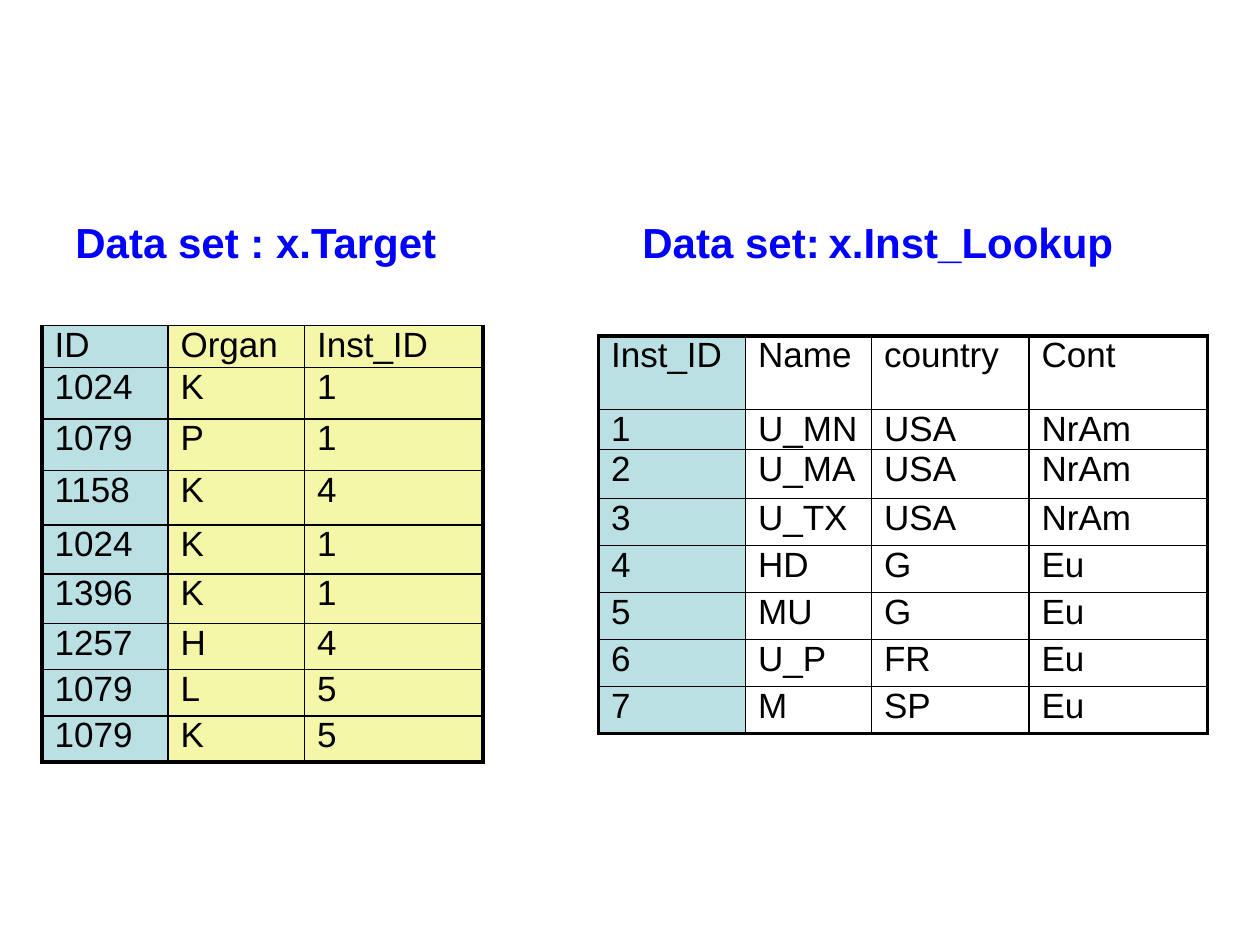
from dataclasses import dataclass

from lxml import etree
from pptx import Presentation
from pptx.dml.color import RGBColor
from pptx.enum.text import MSO_ANCHOR, PP_ALIGN
from pptx.oxml.ns import qn
from pptx.util import Inches, Pt

LEFT, TOP = PP_ALIGN.LEFT, MSO_ANCHOR.TOP
UNIT = Inches(10) / 120
CELL_INSET = 1.2


@dataclass(frozen=True)
class Theme:
    """Colours, type sizes and line widths of the slide."""
    font: str = "Arial"
    ink: str = "000000"
    title: str = "0000FF"
    key: str = "BBE0E3"
    data: str = "F4F6A8"
    title_size: int = 24
    gap_size: int = 18
    cell_size: int = 20
    thin: float = 1
    thick: float = 2.25


THEME = Theme()

TARGET_ROWS = [
    ("ID", "Organ", "Inst_ID"),
    ("1024", "K", "1"),
    ("1079", "P", "1"),
    ("1158", "K", "4"),
    ("1024", "K", "1"),
    ("1396", "K", "1"),
    ("1257", "H", "4"),
    ("1079", "L", "5"),
    ("1079", "K", "5"),
]
LOOKUP_ROWS = [
    ("Inst_ID", "Name", "country", "Cont"),
    ("1", "U_MN", "USA", "NrAm"),
    ("2", "U_MA", "USA", "NrAm"),
    ("3", "U_TX", "USA", "NrAm"),
    ("4", "HD", "G", "Eu"),
    ("5", "MU", "G", "Eu"),
    ("6", "U_P", "FR", "Eu"),
    ("7", "M", "SP", "Eu"),
]


def grid(n):
    """Turn grid units, 120 across and 90 down the slide, into a length."""
    return round(n * UNIT)


def set_all(obj, values):
    """Set every attribute named in a dict of format values."""
    for name, value in values.items():
        setattr(obj, name, value)


def add_run(p, text, size, color, bold=False):
    """Append a formatted run to a paragraph."""
    r = p.add_run()
    r.text = text
    set_all(r.font, {"name": THEME.font, "size": Pt(size), "bold": bold})
    r.font.color.rgb = RGBColor.from_string(color)


def add_borders(cell, widths):
    """Draw the cell borders from a dict of side and width in points."""
    tc_pr = cell._tc.get_or_add_tcPr()
    for side, width in widths.items():
        ln = etree.SubElement(tc_pr, qn(f"a:ln{side}"), w=str(Pt(width)))
        fill = etree.SubElement(ln, qn("a:solidFill"))
        etree.SubElement(fill, qn("a:srgbClr"), val=THEME.ink)


def fill_cell(cell, text, color, widths):
    """Write, border and colour one cell."""
    set_all(cell, {
        "margin_left": grid(CELL_INSET), "margin_right": grid(CELL_INSET),
        "margin_top": 0, "margin_bottom": 0, "vertical_anchor": TOP,
    })
    p = cell.text_frame.paragraphs[0]
    p.alignment = LEFT
    add_run(p, text, THEME.cell_size, THEME.ink)
    add_borders(cell, widths)
    if color:
        cell.fill.solid()
        cell.fill.fore_color.rgb = RGBColor.from_string(color)
    else:
        cell.fill.background()


def add_data_set(s, x, y, cols, rows, values, data_fill=None, thick_top=False):
    """Place a data set table with a tinted key column and a thick frame."""
    box = [grid(n) for n in (x, y, sum(cols), sum(rows))]
    table = s.shapes.add_table(len(rows), len(cols), *box).table
    set_all(table, {"first_row": False, "horz_banding": False})
    for column, width in zip(table.columns, cols):
        column.width = grid(width)
    for row, height in zip(table.rows, rows):
        row.height = grid(height)
    for i, record in enumerate(values):
        for j, text in enumerate(record):
            outer = {
                "L": j == 0, "R": j == len(cols) - 1,
                "T": thick_top and i == 0, "B": i == len(rows) - 1,
            }
            widths = {side: THEME.thick if edge else THEME.thin
                      for side, edge in outer.items()}
            fill_cell(table.cell(i, j), text, data_fill if j else THEME.key, widths)


def add_title(s, x, y, w, h, parts):
    """Place a one-line title made of text and size pairs."""
    tf = s.shapes.add_textbox(*[grid(n) for n in (x, y, w, h)]).text_frame
    tf.word_wrap = False
    p = tf.paragraphs[0]
    p.alignment = LEFT
    for text, size in parts:
        add_run(p, text, size, THEME.title, bold=True)


def main():
    """Build the slide with its two data sets."""
    prs = Presentation()
    set_all(prs, {"slide_width": grid(120), "slide_height": grid(90)})
    s = prs.slides.add_slide(prs.slide_layouts[6])
    add_data_set(s, 4, 31, [12, 13, 17], [4] + [4.9] * 2 + [5.2] + [4.7] * 2 + [4.4] * 3,
                 TARGET_ROWS, data_fill=THEME.data)
    add_data_set(s, 57, 32, [14, 12, 15, 17], [7, 3.8, 4.7] + [4.48] * 5,
                 LOOKUP_ROWS, thick_top=True)
    add_title(s, 60, 20, 47.6, 6, [("Data set:", THEME.title_size), (" ", THEME.gap_size),
                                   ("x.Inst_Lookup", THEME.title_size)])
    add_title(s, 6, 20, 37.2, 6, [("Data set : x.Target", THEME.title_size)])
    prs.save("out.pptx")


if __name__ == "__main__":
    main()
